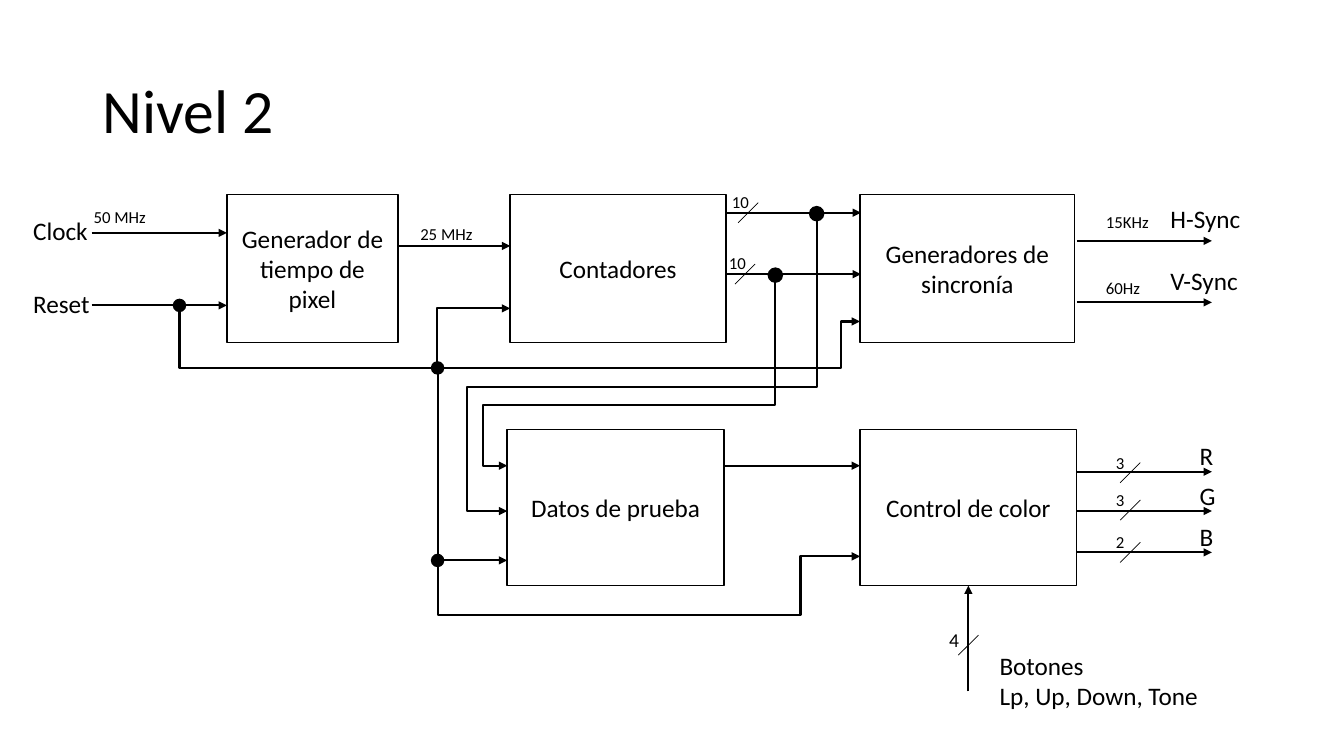
from lxml import etree
from pptx import Presentation
from pptx.dml.color import RGBColor
from pptx.enum.shapes import MSO_CONNECTOR as CONNECTOR, MSO_SHAPE as SHAPE
from pptx.enum.text import MSO_ANCHOR as ANCHOR, MSO_AUTO_SIZE as AUTO_SIZE, PP_ALIGN as ALIGN
from pptx.oxml.ns import qn
from pptx.util import Inches, Pt

FONT = "Calibri"
BLACK, WHITE = "000000", "FFFFFF"
LABEL_HEIGHTS = {18: 0.4, 14: 0.34, 12: 0.3}


def color(hex_text):
    """Turn a hex string into a colour."""
    return RGBColor.from_string(hex_text)


def style_paragraph(paragraph, size, alignment=ALIGN.LEFT):
    """Set the font, colour and alignment of a paragraph."""
    paragraph.alignment = alignment
    paragraph.font.name = FONT
    paragraph.font.size = Pt(size)
    paragraph.font.color.rgb = color(BLACK)


def add_title(slide, box, text):
    """Fill and place the title placeholder."""
    title = slide.shapes.title
    title.left, title.top, title.width, title.height = map(Inches, box)
    title.text_frame.text = text
    title.text_frame.vertical_anchor = ANCHOR.MIDDLE
    paragraph = title.text_frame.paragraphs[0]
    paragraph.line_spacing = 0.9
    style_paragraph(paragraph, 44)


def add_label(slide, left, top, width, text, size=12):
    """Write a label of one or more lines."""
    lines = text.split("\n")
    height = LABEL_HEIGHTS[size] + 0.3 * (len(lines) - 1)
    label = slide.shapes.add_textbox(*map(Inches, (left, top, width, height)))
    frame = label.text_frame
    frame.text = text
    frame.word_wrap = False
    frame.auto_size = AUTO_SIZE.SHAPE_TO_FIT_TEXT
    for paragraph in frame.paragraphs:
        style_paragraph(paragraph, size)


def add_filled_shape(slide, kind, box, fill):
    """Draw a preset shape with a thin black outline."""
    shape = slide.shapes.add_shape(kind, *map(Inches, box))
    shape.shadow.inherit = False
    shape.fill.solid()
    shape.fill.fore_color.rgb = color(fill)
    shape.line.color.rgb = color(BLACK)
    shape.line.width = Pt(1)
    return shape


def add_block(slide, box, text):
    """Draw a named block of the diagram."""
    frame = add_filled_shape(slide, SHAPE.RECTANGLE, box, WHITE).text_frame
    frame.text = text
    frame.word_wrap = True
    frame.vertical_anchor = ANCHOR.MIDDLE
    style_paragraph(frame.paragraphs[0], 18, ALIGN.CENTER)


def add_junction(slide, x, y, size=0.12):
    """Draw a junction dot centred on a point."""
    add_filled_shape(slide, SHAPE.OVAL, (x - size / 2, y - size / 2, size, size), BLACK)


def add_line(slide, start, end, kind=CONNECTOR.STRAIGHT, width=1.5, arrow=True):
    """Draw a connector, with an arrowhead at its end if wanted."""
    line = slide.shapes.add_connector(kind, *map(Inches, (*start, *end)))
    line.line.color.rgb = color(BLACK)
    line.line.width = Pt(width)
    properties = line._element.spPr
    if arrow:
        etree.SubElement(properties.find(qn("a:ln")), qn("a:tailEnd"), type="triangle")
    etree.SubElement(properties, qn("a:effectLst"))
    return line


def add_elbow(slide, start, end, bends, vertical=True):
    """Draw an elbow arrow; bends alternate between y and x positions, or x and y."""
    (x1, y1), (x2, y2) = start, end
    dx, dy = x2 - x1, y2 - y1
    begin, finish = start, end
    if vertical:
        middle_x, middle_y = (x1 + x2) / 2, (y1 + y2) / 2
        begin = middle_x - dy / 2, middle_y + dx / 2
        finish = middle_x + dy / 2, middle_y - dx / 2
    connector = add_line(slide, begin, finish, CONNECTOR.ELBOW)
    properties = connector._element.spPr
    if vertical:
        properties.find(qn("a:xfrm")).set("rot", "5400000")
    geometry = properties.find(qn("a:prstGeom"))
    geometry.set("prst", f"bentConnector{len(bends) + 2}")
    guides = geometry.find(qn("a:avLst"))
    for index, bend in enumerate(bends):
        along_y = vertical == (index % 2 == 0)
        ratio = (bend - y1) / dy if along_y else (bend - x1) / dx
        etree.SubElement(guides, qn("a:gd"), name=f"adj{index + 1}",
                         fmla=f"val {round(ratio * 100000)}")


def add_bus_slash(slide, x, y):
    """Cross a wire with the slash that marks a bus."""
    add_line(slide, (x + 0.1, y - 0.1), (x - 0.1, y + 0.1), width=0.5, arrow=False)


def add_pixel_clock(slide, box):
    """Draw the pixel clock generator with its inputs and output."""
    left, top, width, height = box
    add_block(slide, box, "Generador de tiempo de pixel")
    for name, offset, label_width in (("Clock", 0.38, 0.75), ("Reset", 1.1, 0.77)):
        y = top + offset
        add_line(slide, (left - 1.34, y), (left, y))
        add_label(slide, left - 2.02, y - 0.22, label_width, name, 18)
    add_label(slide, left - 1.42, top + 0.07, 0.73, "50 MHz")
    right = left + width
    add_line(slide, (right, top + 0.51), (right + 1.11, top + 0.51))
    add_label(slide, right + 0.12, top + 0.24, 0.73, "25 MHz")


def add_counters(slide, box):
    """Draw the counters and their two ten-bit buses."""
    left, top, width, height = box
    add_block(slide, box, "Contadores")
    right = left + width
    for offset, slash_x, junction_x in ((0.18, 0.22, 0.9), (0.79, 0.19, 0.49)):
        y = top + offset
        add_line(slide, (right, y), (right + 1.34, y))
        add_bus_slash(slide, right + slash_x, y)
        add_label(slide, right + slash_x - 0.26, y - 0.26, 0.37, "10")
        add_junction(slide, right + junction_x, y + 0.01, 0.14)


def add_sync(slide, box):
    """Draw the sync generators and their outputs."""
    left, top, width, height = box
    add_block(slide, box, "Generadores de sincronía")
    right = left + width
    outputs = (("H-Sync", "15KHz", 0.46, 0.34, 0.63), ("V-Sync", "60Hz", 1.07, 0.29, 0.55))
    for name, rate, offset, rise, rate_width in outputs:
        y = top + offset
        add_line(slide, (right + 0.02, y), (right + 1.36, y))
        add_label(slide, right + 0.85, y - 0.42, 0.9, name, 18)
        add_label(slide, right + 0.21, y - rise, rate_width, rate)


def add_test_data(slide, box):
    """Draw the test data block and its output."""
    left, top, width, height = box
    add_block(slide, box, "Datos de prueba")
    right = left + width
    add_line(slide, (right, top + 0.36), (right + 1.35, top + 0.36))


def add_color_control(slide, box):
    """Draw the colour control with its colour outputs and buttons."""
    left, top, width, height = box
    add_block(slide, box, "Control de color")
    right, bottom, middle = left + width, top + height, left + width / 2
    outputs = (("R", "3", 0.42, 0.43), ("G", "3", 0.81, 0.8), ("B", "2", 1.22, 1.22))
    for index, (name, bits, offset, slash_y) in enumerate(outputs):
        y = top + offset
        add_line(slide, (right, y), (right + 1.34, y))
        add_label(slide, right + 1.12, top + 0.06 + 0.4 * index, 0.35, name, 18)
        add_bus_slash(slide, right + 0.53, top + slash_y)
        add_label(slide, right + 0.29, top + slash_y - 0.25, 0.29, bits)
    add_line(slide, (middle, bottom + 1.05), (middle, bottom))
    add_bus_slash(slide, middle, bottom + 0.59)
    add_label(slide, middle - 0.29, bottom + 0.37, 0.3, "4", 14)
    add_label(slide, middle + 0.21, bottom + 0.59, 2.19, "Botones\nLp, Up, Down, Tone", 18)


def add_feedback(slide, counters, data):
    """Route the counter buses to the test data block."""
    right, top = counters[0] + counters[2], counters[1]
    left, data_top = data[:2]
    add_elbow(slide, (right + 0.49, top + 0.86), (left, data_top + 0.36), (4.02, left - 0.24))
    add_elbow(slide, (right + 0.9, top + 0.26), (left, data_top + 0.81), (3.84, left - 0.4))


def add_reset_net(slide, clock, counters, sync, data, control):
    """Distribute the reset signal to every block."""
    source_x, source_y = clock[0] - 0.47, clock[1] + 1.1
    trunk_x, upper_y, lower_y = data[0] - 0.69, 3.65, data[1] + 1.3
    for x, y in ((source_x, source_y), (trunk_x, upper_y), (trunk_x, lower_y)):
        add_junction(slide, x, y)
    add_elbow(slide, (source_x, source_y + 0.06), (counters[0], counters[1] + 1.13),
              (upper_y, trunk_x))
    add_elbow(slide, (trunk_x + 0.06, upper_y), (sync[0], sync[1] + 1.26),
              (sync[0] - 0.19,), vertical=False)
    add_elbow(slide, (trunk_x, upper_y + 0.05), (data[0], lower_y), ())
    add_elbow(slide, (trunk_x, lower_y + 0.06), (control[0], control[1] + 1.26),
              (6.1, control[0] - 0.59))


def main():
    """Build the slide and save it."""
    presentation = Presentation()
    presentation.slide_width, presentation.slide_height = Inches(13.33), Inches(7.5)
    slide = presentation.slides.add_slide(presentation.slide_layouts[5])
    add_title(slide, (0.92, 0.4, 11.5, 1.45), "Nivel 2")
    clock, counters, sync = (2.25, 1.93, 1.7, 1.47), (5.06, 1.93, 2.14, 1.47), (8.53, 1.93, 2.13, 1.47)
    data, control = (5.03, 4.26, 2.15, 1.55), (8.53, 4.26, 2.15, 1.55)
    add_pixel_clock(slide, clock)
    add_counters(slide, counters)
    add_sync(slide, sync)
    add_test_data(slide, data)
    add_color_control(slide, control)
    add_feedback(slide, counters, data)
    add_reset_net(slide, clock, counters, sync, data, control)
    presentation.save("out.pptx")


main()
